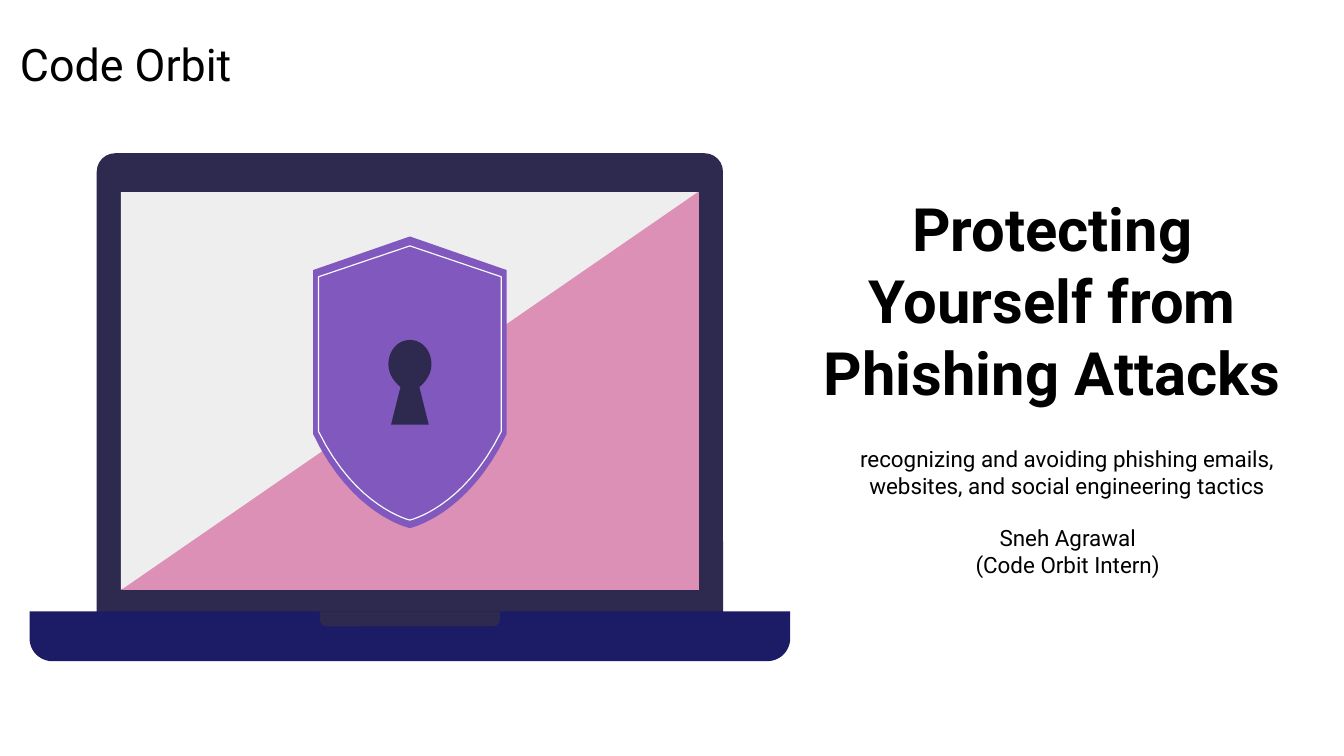
from pptx import Presentation
from pptx.dml.color import RGBColor
from pptx.enum import shapes, text
from pptx.util import Inches, Pt

FONT = "Roboto"
BLACK = RGBColor(0x00, 0x00, 0x00)
DARK = RGBColor(0x2E, 0x29, 0x4E)
NAVY = RGBColor(0x1C, 0x1C, 0x66)
PINK = RGBColor(0xDD, 0x90, 0xB6)
GREY = RGBColor(0xEE, 0xEE, 0xEE)
PURPLE = RGBColor(0x80, 0x58, 0xBE)
WHITE = RGBColor(0xFC, 0xFC, 0xFC)

TITLE = "Protecting Yourself from Phishing Attacks"
SUBTITLE = ("recognizing and avoiding phishing emails, "
            "websites, and social engineering tactics")
COMPANY = "Code Orbit"
AUTHOR = ["Sneh Agrawal", f"({COMPANY} Intern)"]

RECTANGLE = shapes.MSO_SHAPE.RECTANGLE
ROUNDED = shapes.MSO_SHAPE.ROUND_2_SAME_RECTANGLE
# preset, left, top, width, height, fill, (top, bottom) corner rounding
LAPTOP_PARTS = [
    (ROUNDED, 0.72, 1.14, 4.66, 3.42, DARK, (0.04, 0)),
    (RECTANGLE, 0.91, 1.43, 4.29, 2.96, PINK, ()),
    (ROUNDED, 0.22, 4.55, 5.66, 0.37, NAVY, (0, 0.46)),
    (ROUNDED, 2.38, 4.55, 1.34, 0.11, DARK, (0, 0.46)),
]
SCREEN_GLARE = [(0.9, 1.43), (0.9, 4.39), (5.19, 1.43)]

# Left halves, top to bottom: two numbers are a corner, six a Bezier curve
CENTER_X = 3.05
SHIELD = [(3.05, 1.76), (2.33, 2.01), (2.33, 3.23),
          (2.62, 3.84, 3.05, 3.93, 3.05, 3.93)]
SHIELD_RIM = [(3.05, 1.83), (2.37, 2.06), (2.37, 3.21),
              (2.65, 3.78, 3.05, 3.87, 3.05, 3.87)]
KEYHOLE = [(3.05, 2.53), (2.96, 2.53, 2.89, 2.61, 2.89, 2.71),
           (2.89, 2.78, 2.93, 2.84, 2.98, 2.88), (2.91, 3.16)]
CURVE_STEPS = 16


def symmetric_outline(half):
    """Flatten the curves of a left half and add its mirror image."""
    points = []
    for step in half:
        if len(step) == 2:
            points.append(step)
            continue
        controls = [points[-1], step[:2], step[2:4], step[4:]]
        for index in range(1, CURVE_STEPS + 1):
            t = index / CURVE_STEPS
            weights = ((1 - t) ** 3, 3 * t * (1 - t) ** 2, 3 * t * t * (1 - t), t ** 3)
            points.append(tuple(sum(w * c[axis] for w, c in zip(weights, controls))
                                for axis in (0, 1)))
    return points + [(2 * CENTER_X - x, y) for x, y in reversed(points)]


def paint(shape, fill=None, line=None):
    shape.shadow.inherit = False
    if fill is None:
        shape.fill.background()
    else:
        shape.fill.solid()
        shape.fill.fore_color.rgb = fill
    if line is None:
        shape.line.fill.background()
    else:
        shape.line.color.rgb = line
        shape.line.width = Pt(0.61)


def add_outline(group, points, fill=None, line=None):
    start, *rest = [(Inches(x), Inches(y)) for x, y in points]
    builder = group.shapes.build_freeform(*start)
    builder.add_line_segments(rest, close=True)
    paint(builder.convert_to_shape(), fill, line)


def write(shape, box, lines, size, bold=False, align=text.PP_ALIGN.CENTER,
          anchor=text.MSO_ANCHOR.TOP, margin=0.1):
    shape.left, shape.top, shape.width, shape.height = map(Inches, box)
    frame = shape.text_frame
    frame.word_wrap = True
    frame.auto_size = text.MSO_AUTO_SIZE.NONE
    frame.vertical_anchor = anchor
    frame.margin_left = frame.margin_right = Inches(0.1)
    frame.margin_top = frame.margin_bottom = Inches(margin)
    for index, line in enumerate(lines):
        paragraph = frame.add_paragraph() if index else frame.paragraphs[0]
        paragraph.alignment = align
        paragraph.space_before = Pt(0)
        run = paragraph.add_run()
        run.text = line
        run.font.name = FONT
        run.font.size = Pt(size)
        run.font.bold = bold
        run.font.color.rgb = BLACK


def add_text(slide, box, *args, **options):
    write(slide.shapes.add_textbox(*map(Inches, box)), box, *args, **options)


def main():
    presentation = Presentation()
    presentation.slide_width = Inches(10)
    presentation.slide_height = Inches(10) * 9 // 16
    slide = presentation.slides.add_slide(presentation.slide_layouts[0])

    write(slide.shapes.title, (5.88, 1.57, 3.9, 1.56), [TITLE], 32, bold=True,
          anchor=text.MSO_ANCHOR.BOTTOM)
    write(slide.placeholders[1], (5.99, 3.21, 3.9, 0.87), [SUBTITLE], 12)

    laptop = slide.shapes.add_group_shape()
    for preset, left, top, width, height, fill, rounding in LAPTOP_PARTS:
        part = laptop.shapes.add_shape(preset, *map(Inches, (left, top, width, height)))
        for index, amount in enumerate(rounding):
            part.adjustments[index] = amount
        paint(part, fill)
    add_outline(laptop, SCREEN_GLARE, GREY)
    add_outline(laptop, symmetric_outline(SHIELD), PURPLE)
    add_outline(laptop, symmetric_outline(SHIELD_RIM), line=WHITE)
    add_outline(laptop, symmetric_outline(KEYHOLE), DARK)

    add_text(slide, (0.05, 0.17, 3.32, 0.6), [COMPANY], 24, align=text.PP_ALIGN.LEFT)
    add_text(slide, (6.98, 3.85, 1.93, 0.5), AUTHOR, 12, margin=0.05)

    presentation.save("out.pptx")


if __name__ == "__main__":
    main()
